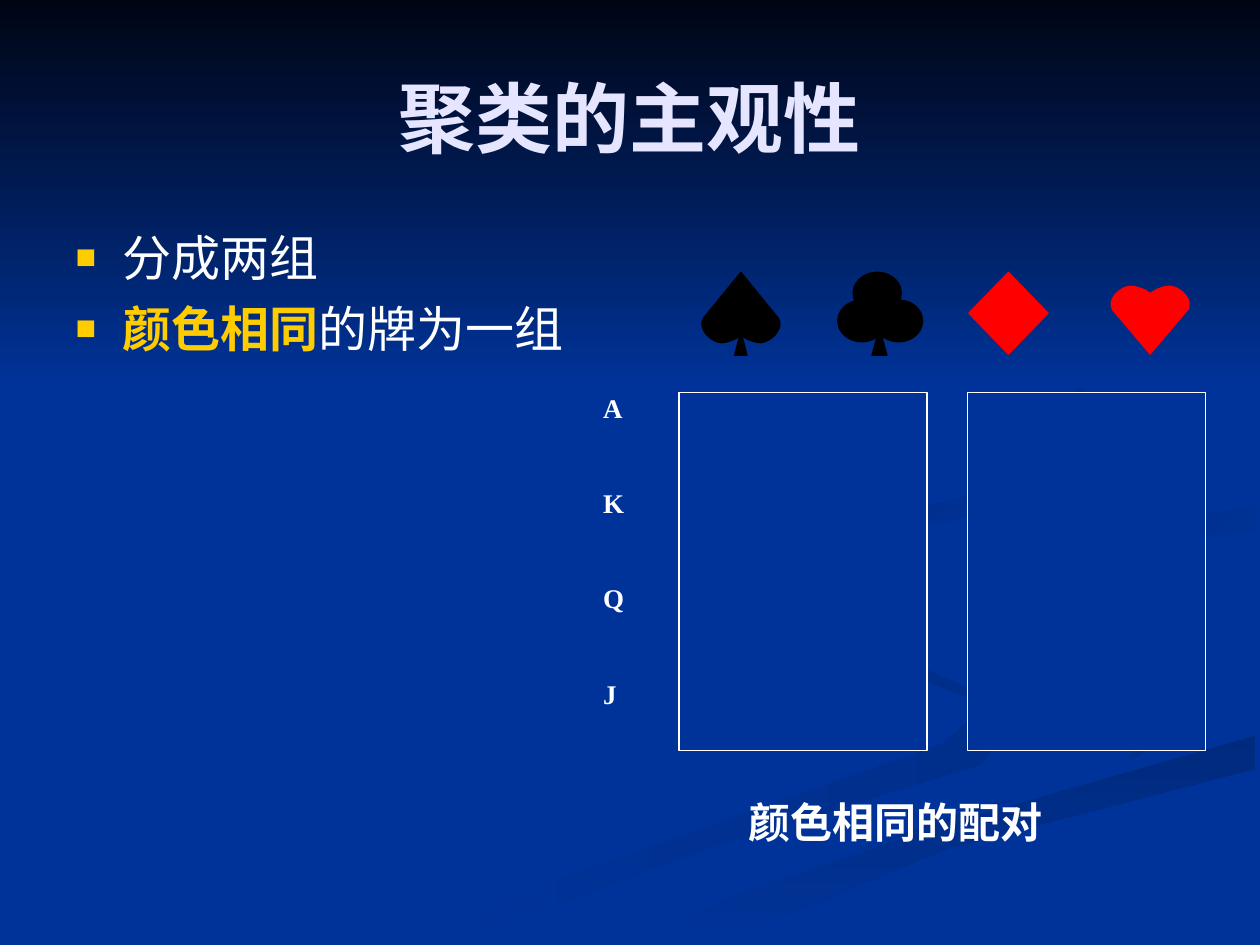
import pptx
import pptx.util
import pptx.dml.color
import pptx.enum.shapes
import pptx.enum.text
import pptx.oxml.ns
import lxml.etree

Cm, Pt = pptx.util.Cm, pptx.util.Pt
SHAPE = pptx.enum.shapes.MSO_SHAPE
ALIGN = pptx.enum.text.PP_ALIGN
ANCHOR = pptx.enum.text.MSO_ANCHOR
BLUE, WHITE, GOLD, RED, BLACK = "003399", "FFFFFF", "FFCC00", "FF0000", "000000"

# Background ribbons: colours, gradient angle, outline in cm
RIBBONS = [
    ((BLUE, "002E8B"), 0, [
        (19.8, 14), (14.6, 11.7), (14.6, 12.2), (19.9, 14.2), (19, 15), (7.6, 19),
        (9.2, 19), (14.3, 17.1), (19.8, 15.4), (20.3, 14.7)]),
    ((BLUE, "002E8B"), 45, [
        (24, 14.5), (22.1, 13.5), (18.4, 11.8), (19.8, 13.2), (23.2, 14.4), (22.7, 15.4)]),
    (("002A7D", BLUE), 90, [
        (12.8, 19), (14.5, 19), (19.1, 17.1), (25.3, 15.5), (25.3, 14.8),
        (19.4, 16.4), (15.2, 17.9)]),
    ((BLUE, BLUE), 0, [
        (18.4, 11.8), (23.4, 13.9), (23.1, 15.2), (12.1, 19), (17.7, 17),
        (25.4, 14.8), (25.4, 13.7), (19.8, 11.8), (25.4, 10.2), (25.4, 9.8)]),
    (("002D86", BLUE), 45, [
        (19.8, 11.7), (21, 12.6), (20.5, 11.9), (22.3, 11), (25.3, 10.7), (25.3, 10.2),
        (20.9, 11)]),
    (("002B82", BLUE), 45, [
        (17.3, 10.9), (21.7, 9.9), (22.7, 8.7), (19.4, 5.9), (22.6, 8.5), (21.4, 9.6),
        (15.6, 10.9), (14.7, 11.7), (15.8, 12.7), (15.1, 11.9)]),
]


def color(code):
    return pptx.dml.color.RGBColor.from_string(code)


def bezier(start, first, second, end, steps=10):
    """Points along a cubic curve, without its start."""
    points = []
    for step in range(1, steps + 1):
        t = step / steps
        weights = ((1 - t) ** 3, 3 * t * (1 - t) ** 2, 3 * t * t * (1 - t), t ** 3)
        points.append(tuple(sum(w * p[axis] for w, p in zip(weights, (start, first, second, end)))
                            for axis in (0, 1)))
    return points


def heart_outline(left, top, height, flipped=False):
    """Heart in cm, or the leaf of a spade when flipped."""
    width = 1.57
    notch, shoulder, side = (0.5, 0.11), (0.25, 0), (0.02, 0.35)
    half = [notch]
    half += bezier(notch, (0.46, 0.07), (0.37, 0.01), shoulder)
    half += bezier(shoulder, (0.11, 0.01), (-0.06, 0.2), side)
    half.append((0.5, 1))
    unit = half + [(1 - x, y) for x, y in reversed(half[1:-1])]
    return [(left + x * width, top + (1 - y if flipped else y) * height) for x, y in unit]


class SlideBuilder:
    font = "Times New Roman"

    def __init__(self, deck):
        self.page = deck.slides.add_slide(deck.slide_layouts[1])
        self.page.background.fill.solid()
        self.page.background.fill.fore_color.rgb = color(BLUE)

    def place(self, shape, left, top, width, height):
        shape.left, shape.top, shape.width, shape.height = map(Cm, (left, top, width, height))

    def paint(self, shape, fill, line=None):
        shape.shadow.inherit = False
        shape.fill.solid()
        shape.fill.fore_color.rgb = color(fill)
        if line:
            shape.line.color.rgb = color(line)
            shape.line.width = Pt(0.75)
        else:
            shape.line.fill.background()

    def blend(self, shape, colors, angle):
        self.paint(shape, colors[0])
        shape.fill.gradient()
        shape.fill.gradient_angle = -angle % 360
        for stop, code in zip(shape.fill.gradient_stops, colors):
            stop.color.rgb = color(code)

    def preset(self, kind, left, top, width, height, fill, line=None):
        shape = self.page.shapes.add_shape(kind, *map(Cm, (left, top, width, height)))
        self.paint(shape, fill, line)
        return shape

    def outline(self, points, fill, line=None):
        corners = [(Cm(x), Cm(y)) for x, y in points]
        builder = self.page.shapes.build_freeform(*corners[0])
        builder.add_line_segments(corners[1:], close=True)
        shape = builder.convert_to_shape()
        self.paint(shape, fill, line)
        return shape

    def style(self, span, size, code=WHITE, bold=False, font=None):
        span.font.name = font or self.font
        span.font.size = Pt(size)
        span.font.bold = bold
        span.font.color.rgb = color(code)

    def title(self, text):
        box = self.page.shapes.title
        self.place(box, 1.27, 0.76, 22.86, 3.18)
        box.text_frame.text = text
        box.text_frame.vertical_anchor = ANCHOR.MIDDLE
        para = box.text_frame.paragraphs[0]
        para.alignment = ALIGN.CENTER
        self.style(para.runs[0], 44, "E5E5FF", True)

    def bullets(self, items):
        box = self.page.placeholders[1]
        self.place(box, 1.27, 4.45, 11.23, 12.57)
        frame = box.text_frame
        for index, spans in enumerate(items):
            para = frame.add_paragraph() if index else frame.paragraphs[0]
            para.space_before = Pt(7 if index else 0)
            self.square_bullet(para)
            for text, code, bold in spans:
                span = para.add_run()
                span.text = text
                self.style(span, 28, code, bold)

    def square_bullet(self, para):
        props = para._p.get_or_add_pPr()
        props.set("marL", str(Cm(0.95)))
        props.set("indent", str(-Cm(0.95)))

        def add(parent, tag, **values):
            return lxml.etree.SubElement(parent, pptx.oxml.ns.qn(tag), **values)
        add(add(props, "a:buClr"), "a:srgbClr", val=GOLD)
        add(props, "a:buSzPct", val="70000")
        add(props, "a:buFont", typeface="Arial")
        add(props, "a:buChar", char="■")

    def label(self, text, left, top, width, height, size, align, font=None, spacing=1.0):
        box = self.page.shapes.add_textbox(*map(Cm, (left, top, width, height)))
        box.text_frame.word_wrap = True
        box.text_frame.text = text
        para = box.text_frame.paragraphs[0]
        para.alignment = align
        para.line_spacing = spacing
        self.style(para.runs[0], size, bold=True, font=font)


def main():
    deck = pptx.Presentation()
    deck.slide_width, deck.slide_height = Cm(25.4), Cm(19.05)
    slide = SlideBuilder(deck)

    # Backdrop, with the placeholders lifted above it
    placeholders = list(slide.page.placeholders)
    for colors, angle, points in RIBBONS:
        ribbon = slide.outline(points, BLUE)
        slide.blend(ribbon, colors, angle)
    band = slide.preset(SHAPE.RECTANGLE, 0, 0, 25.4, 7.82, BLUE)
    slide.blend(band, ("000514", BLUE), 90)
    for box in placeholders:
        box.element.getparent().append(box.element)

    # Title and list
    slide.title("聚类的主观性")
    slide.bullets([
        [("分成两组", WHITE, False)],
        [("颜色相同", GOLD, True), ("的牌为一组", WHITE, False)],
    ])

    # Card suits
    slide.outline(heart_outline(14.15, 5.49, 1.42, flipped=True), BLACK, BLACK)
    slide.preset(SHAPE.FLOWCHART_EXTRACT, 14.81, 6.68, 0.25, 0.48, BLACK, BLACK)
    for left, top in ((17.2, 5.49), (17.63, 6.05), (16.89, 6.05)):
        slide.preset(SHAPE.OVAL, left, top, 0.97, 0.84, BLACK, BLACK)
    slide.preset(SHAPE.FLOWCHART_EXTRACT, 17.58, 6.6, 0.3, 0.56, BLACK, BLACK)
    slide.preset(SHAPE.FLOWCHART_DECISION, 19.53, 5.49, 1.6, 1.65, RED, RED)
    slide.outline(heart_outline(22.4, 5.77, 1.37), RED, RED)

    # Card ranks
    for row, rank in enumerate("AKQJ"):
        slide.label(rank, 11.91, 7.14 + row * 1.92, 1.9, 1.37, 15.4, ALIGN.JUSTIFY, spacing=1.96)

    # One frame for each colour group
    for left, width in ((13.69, 5), (19.51, 4.8)):
        slide.preset(SHAPE.RECTANGLE, left, 7.92, width, 7.21, BLUE, WHITE)
    slide.label("颜色相同的配对", 10.69, 15.93, 14.71, 1.27, 24, ALIGN.CENTER, font="Arial")

    deck.save("out.pptx")


if __name__ == "__main__":
    main()
